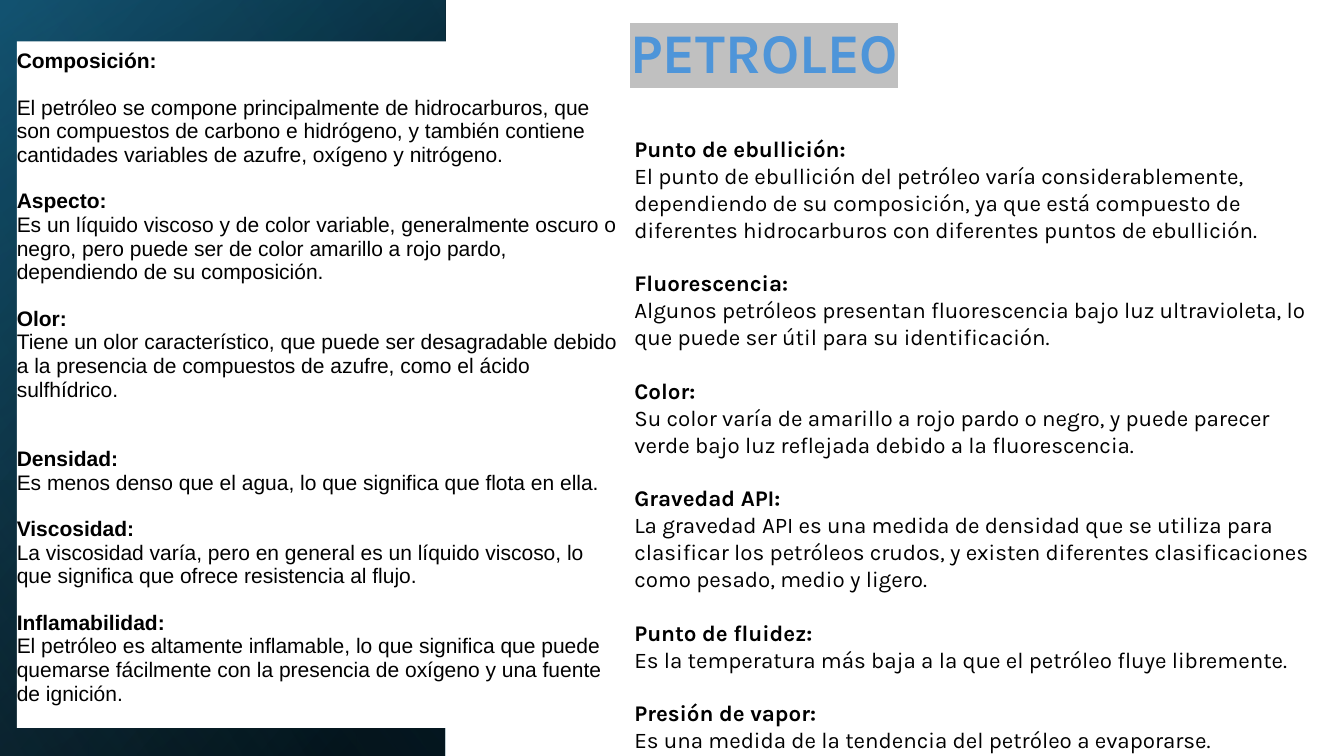
from dataclasses import dataclass
from math import acos, cos, pi, sin

from lxml.etree import SubElement
from pptx import Presentation
from pptx.dml.color import RGBColor
from pptx.enum.shapes import MSO_SHAPE
from pptx.enum.text import MSO_ANCHOR, PP_ALIGN
from pptx.oxml.ns import qn
from pptx.util import Pt


@dataclass(frozen=True)
class Theme:
    ink: str = "000000"
    paper: str = "FFFFFF"
    title: str = "4E95D9"
    mark: str = "C0C0C0"
    deep: str = "104862"
    teal: str = "156082"
    sky: str = "46B1E1"
    head: str = "Karla"
    body: str = "Arial"
    title_size: int = 40
    left_size: int = 15
    right_size: int = 16


THEME = Theme()
WIDE, HIGH, BAND = 960, 540, 318

# Panels from back to front: height, angle, stops of (place, colour, opacity)
PANELS = [
    (HIGH, 50, [(8, THEME.ink, 100), (100, THEME.deep, 100)]),
    (HIGH, 30, [(0, THEME.ink, 0), (99, THEME.teal, 46)]),
    (197, 130, [(2, THEME.teal, 29), (100, THEME.ink, 30)]),
]
GLOW = [(29, THEME.ink, 0), (100, THEME.teal, 43)]
SHEEN = (HIGH, 120, [(0, THEME.ink, 0), (99, THEME.sky, 11)])

# Sections: heading, text, blank lines above the heading, blank lines below it
LEFT = [
    ("Composición:", "El petróleo se compone principalmente de hidrocarburos, que son compuestos de carbono e hidrógeno, y también contiene cantidades variables de azufre, oxígeno y nitrógeno.", 0, 1),
    ("Aspecto:", "Es un líquido viscoso y de color variable, generalmente oscuro o negro, pero puede ser de color amarillo a rojo pardo, dependiendo de su composición.", 1, 0),
    ("Olor:", "Tiene un olor característico, que puede ser desagradable debido a la presencia de compuestos de azufre, como el ácido sulfhídrico.", 1, 0),
    ("Densidad:", "Es menos denso que el agua, lo que significa que flota en ella.", 2, 0),
    ("Viscosidad:", "La viscosidad varía, pero en general es un líquido viscoso, lo que significa que ofrece resistencia al flujo.", 1, 0),
    ("Inflamabilidad:", "El petróleo es altamente inflamable, lo que significa que puede quemarse fácilmente con la presencia de oxígeno y una fuente de ignición.", 1, 0),
]
RIGHT = [
    ("Punto de ebullición:", "El punto de ebullición del petróleo varía considerablemente, dependiendo de su composición, ya que está compuesto de diferentes hidrocarburos con diferentes puntos de ebullición.", 0, 0),
    ("Fluorescencia:", "Algunos petróleos presentan fluorescencia bajo luz ultravioleta, lo que puede ser útil para su identificación.", 1, 0),
    ("Color:", "Su color varía de amarillo a rojo pardo o negro, y puede parecer verde bajo luz reflejada debido a la fluorescencia.", 1, 0),
    ("Gravedad API:", "La gravedad API es una medida de densidad que se utiliza para clasificar los petróleos crudos, y existen diferentes clasificaciones como pesado, medio y ligero.", 1, 0),
    ("Punto de fluidez:", "Es la temperatura más baja a la que el petróleo fluye libremente.", 1, 0),
    ("Presión de vapor:", "Es una medida de la tendencia del petróleo a evaporarse.", 1, 0),
]


def shade(shape, angle, stops):
    """Fill a shape with a linear gradient that may be see-through."""
    shape.shadow.inherit = False
    shape.line.fill.background()
    shape.fill.gradient()
    grad = shape.element.spPr.find(qn("a:gradFill"))
    for child in list(grad):
        grad.remove(child)
    row = SubElement(grad, qn("a:gsLst"))
    for place, color, alpha in stops:
        stop = SubElement(row, qn("a:gs"), pos=str(place * 1000))
        tint = SubElement(stop, qn("a:srgbClr"), val=color)
        SubElement(tint, qn("a:alpha"), val=str(alpha * 1000))
    SubElement(grad, qn("a:lin"), ang=str(angle * 60000), scaled="0")


def add_panel(slide, tall, angle, stops):
    """Add a turned, flipped panel that stands on the lower edge."""
    left, top = (BAND - tall) / 2, HIGH - (tall + BAND) / 2
    panel = slide.shapes.add_shape(
        MSO_SHAPE.RECTANGLE, Pt(left), Pt(top), Pt(tall), Pt(BAND))
    panel.rotation = 90
    panel.element.spPr.find(qn("a:xfrm")).set("flipH", "1")
    shade(panel, angle, stops)


def add_glow(slide):
    """Add a disc cut straight on its left side."""
    mid_x, mid_y, radius, edge = 107, 242, 163, -11
    reach, steps = pi - acos((mid_x - edge) / radius), 60
    turns = [reach * (2 * i / steps - 1) for i in range(steps + 1)]
    dots = [(Pt(mid_x + radius * cos(t)), Pt(mid_y + radius * sin(t)))
            for t in turns]
    pen = slide.shapes.build_freeform(*dots[0])
    pen.add_line_segments(dots[1:], close=True)
    shade(pen.convert_to_shape(), 14, GLOW)


def style(para, face, size, color, bold):
    font = para.font
    font.name, font.size, font.bold = face, Pt(size), bold
    font.color.rgb = RGBColor.from_string(color)


def add_box(slide, left, top, wide, tall):
    box = slide.shapes.add_textbox(Pt(left), Pt(top), Pt(wide), Pt(tall))
    box.text_frame.word_wrap = True
    return box


def add_title(slide, text):
    frame = add_box(slide, 396.5, -12, 252, 77).text_frame
    frame.vertical_anchor = MSO_ANCHOR.BOTTOM
    para = frame.paragraphs[0]
    para.alignment, para.line_spacing = PP_ALIGN.RIGHT, 0.9
    style(para, THEME.head, THEME.title_size, THEME.title, True)
    run = para.add_run()
    run.text = text
    mark = SubElement(run.font._element, qn("a:highlight"))
    SubElement(mark, qn("a:srgbClr"), val=THEME.mark)


def add_list(frame, parts, face, size, pitch, spacing):
    """Write headed sections, with gaps counted in lines of text."""
    para = frame.paragraphs[0]
    for head, text, above, below in parts:
        for words, gap, bold in ((head, above, True), (text, below, False)):
            if para.text:
                para = frame.add_paragraph()
            para.text = words
            para.alignment, para.line_spacing = PP_ALIGN.LEFT, spacing
            para.space_before = Pt(gap * pitch)
            style(para, face, size, THEME.ink, bold)


def main():
    deck = Presentation()
    deck.slide_width, deck.slide_height = Pt(WIDE), Pt(HIGH)
    slide = deck.slides.add_slide(deck.slide_layouts[6])

    # Dark band on the left
    for panel in PANELS:
        add_panel(slide, *panel)
    add_glow(slide)
    add_panel(slide, *SHEEN)

    add_title(slide, "PETROLEO")

    # Left column on a white card
    card = add_box(slide, 12, 29.5, 434, 490.5)
    card.fill.solid()
    card.fill.fore_color.rgb = RGBColor.from_string(THEME.paper)
    frame = card.text_frame
    frame.margin_left = frame.margin_right = 0
    frame.margin_top = Pt(6)
    add_list(frame, LEFT, THEME.body, THEME.left_size, 16.2, 0.94)

    # Right column
    frame = add_box(slide, 446, 93, 500, 453).text_frame
    add_list(frame, RIGHT, THEME.head, THEME.right_size, 19.2, 1.0)

    deck.save("out.pptx")


if __name__ == "__main__":
    main()
